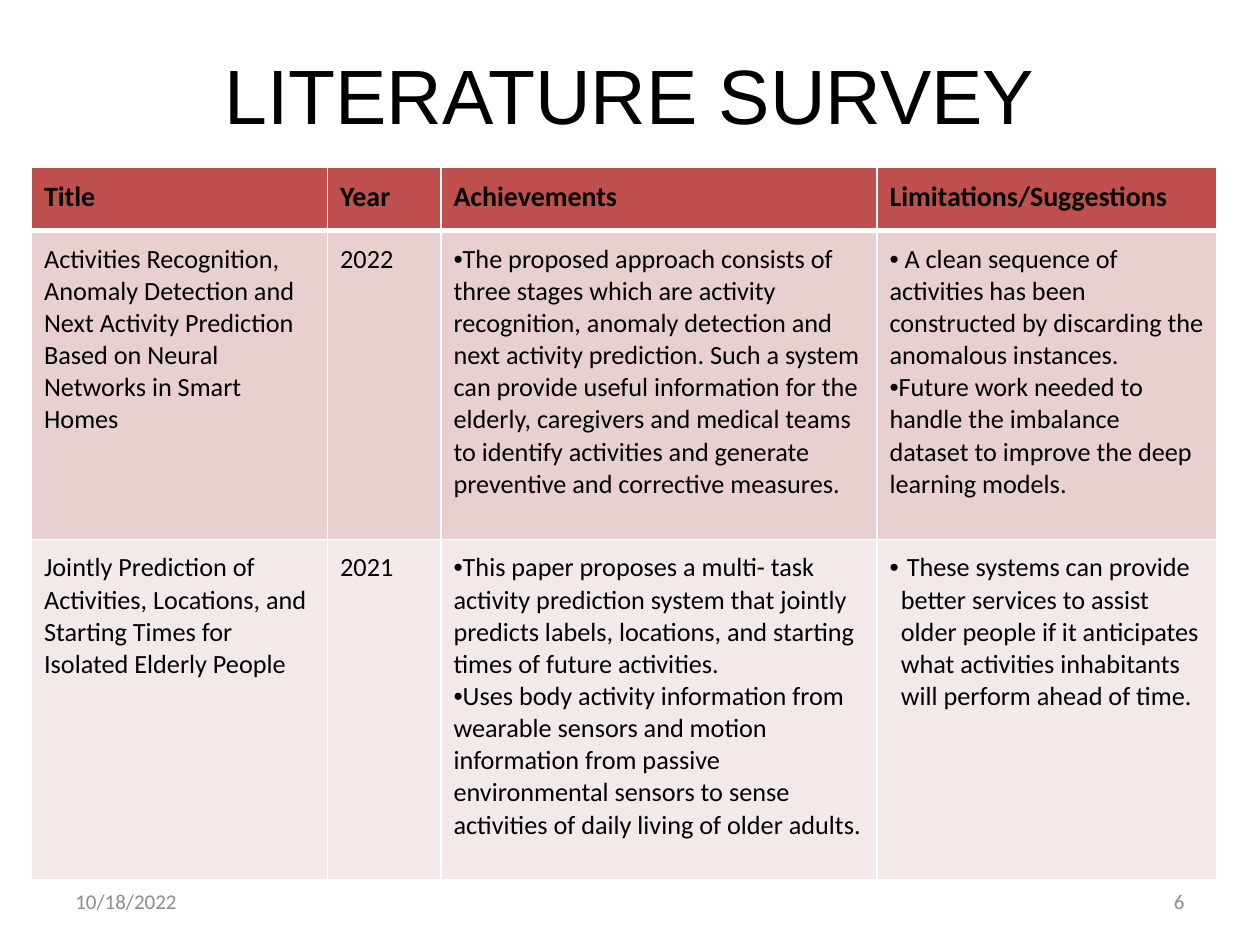
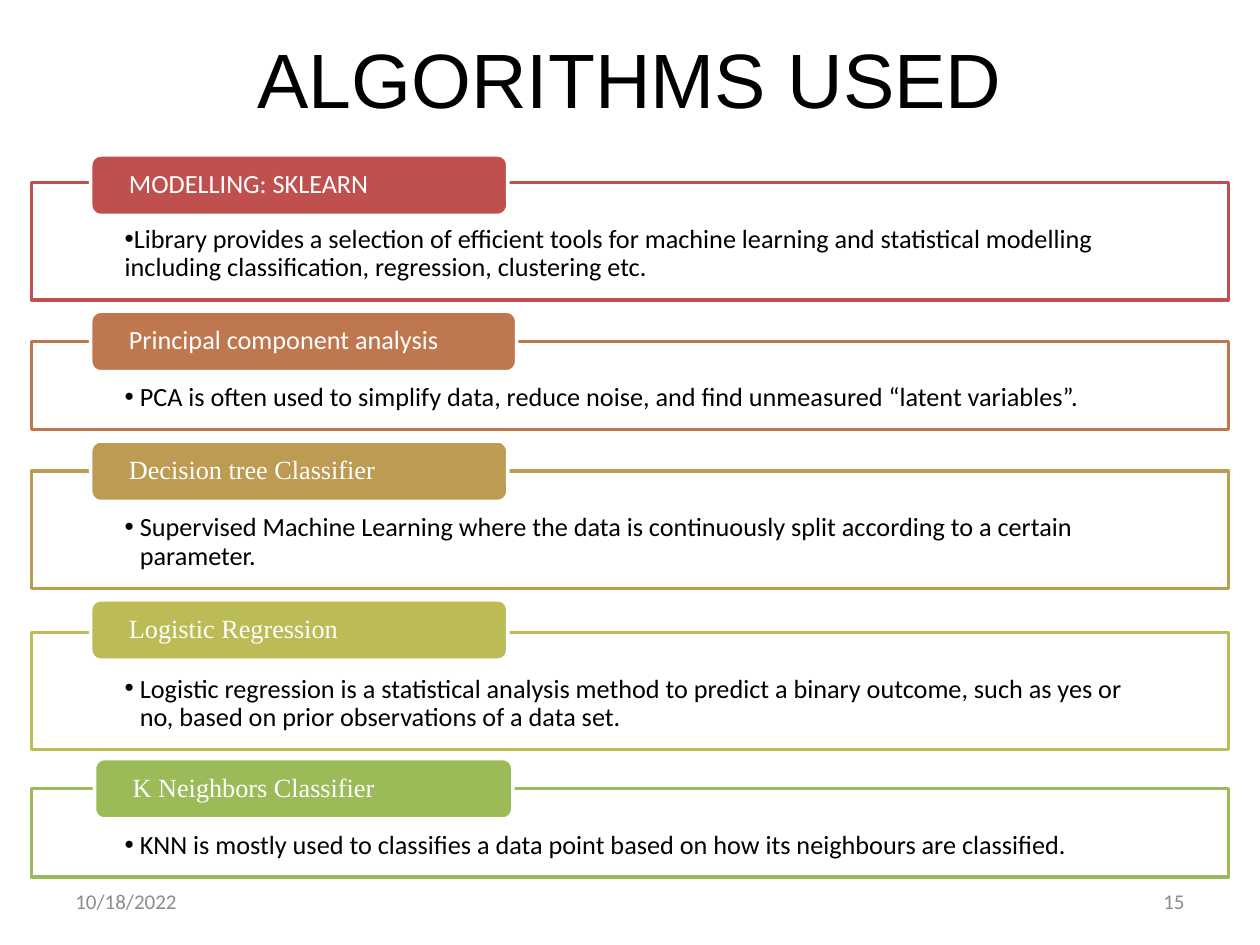
from typing import NamedTuple

from lxml import etree
from pptx import Presentation
from pptx.dml.color import RGBColor
from pptx.enum.shapes import MSO_SHAPE
from pptx.enum.text import MSO_ANCHOR, PP_ALIGN
from pptx.oxml import parse_xml
from pptx.oxml.ns import nsdecls, qn
from pptx.util import Inches, Pt

RECT, ROUND = MSO_SHAPE.RECTANGLE, MSO_SHAPE.ROUNDED_RECTANGLE
TOP, MIDDLE = MSO_ANCHOR.TOP, MSO_ANCHOR.MIDDLE
LEFT, CENTER, RIGHT = PP_ALIGN.LEFT, PP_ALIGN.CENTER, PP_ALIGN.RIGHT

COLORS = {
    "black": "000000", "white": "FFFFFF", "gray": "8C8C8C",
    "red": "C0504D", "rust": "BF7750", "gold": "BD9B53",
    "lime": "BCBC56", "green": "9BBB59",
    "rose": "E8D0D0", "blush": "F4E9E9",
}
SANS, BODY, SERIF = "Arial", "Calibri", "Times New Roman"
DATE = "10/18/2022"


class Box(NamedTuple):
    left: float
    top: float
    width: float
    height: float


class Item(NamedTuple):
    text: str
    hang: float = 0
    bullet: bool = True


class Panel(NamedTuple):
    head: str
    body: Item
    color: str
    top: float
    height: float
    tab: Box
    font: str = SERIF


COLS = (2.35, 0.9, 3.46, 2.7)
ROWS = (0.5, 2.45, 2.7)
HEADS = ("Title", "Year", "Achievements", "Limitations/Suggestions")
PAPERS = (
    (
        [Item("Activities Recognition, Anomaly Detection and Next Activity "
              "Prediction Based on Neural Networks in Smart Homes", bullet=False)],
        [Item("2022", bullet=False)],
        [Item("The proposed approach consists of three stages which are activity "
              "recognition, anomaly detection and next activity prediction. Such a "
              "system can provide useful information for the elderly, caregivers and "
              "medical teams to identify activities and generate preventive and "
              "corrective measures.")],
        [Item(" A clean sequence of activities has been constructed by "
              "discarding the anomalous instances."),
         Item("Future work needed to handle the imbalance dataset to improve the "
              "deep learning models.")],
    ),
    (
        [Item("Jointly Prediction of Activities, Locations, and Starting Times for "
              "Isolated Elderly People", bullet=False)],
        [Item("2021", bullet=False)],
        [Item("This paper proposes a multi- task activity prediction system that "
              "jointly predicts labels, locations, and starting times of future "
              "activities."),
         Item("Uses body activity information from wearable sensors and motion "
              "information from passive environmental sensors to sense activities of "
              "daily living of older adults.")],
        [Item(" These systems can provide better services to assist older people "
              "if it anticipates what activities inhabitants will perform ahead of "
              "time.", 0.09)],
    ),
)

PANELS = (
    Panel("MODELLING: SKLEARN",
          Item("Library provides a selection of efficient tools for machine learning "
               "and statistical modelling including classification, regression, "
               "clustering etc."),
          "red", 1.45, 0.93, Box(0.72, 1.23, 3.31, 0.48), BODY),
    Panel("Principal component analysis",
          Item("PCA is often used to simplify data, reduce noise, and find unmeasured "
               "“latent variables”.", 0.12),
          "rust", 2.71, 0.7, Box(0.72, 2.47, 3.38, 0.48), BODY),
    Panel("Decision tree Classifier",
          Item("Supervised Machine Learning where the data is continuously split "
               "according to a certain parameter.", 0.12),
          "gold", 3.74, 0.93, Box(0.72, 3.5, 3.31, 0.48)),
    Panel("Logistic Regression",
          Item("Logistic regression is a statistical analysis method to predict a "
               "binary outcome, such as yes or no, based on prior observations of a "
               "data set.", 0.12),
          "lime", 5.02, 0.93, Box(0.72, 4.76, 3.31, 0.48)),
    Panel("K Neighbors Classifier",
          Item("KNN is mostly used to classifies a data point based on how its "
               "neighbours are classified.", 0.12),
          "green", 6.26, 0.7, Box(0.75, 6.02, 3.32, 0.48)),
)


def rgb(name: str) -> RGBColor:
    return RGBColor.from_string(COLORS[name])


def place(box: Box) -> list:
    return [Inches(side) for side in box]


def add_run(para, text: str, size: float, font: str = BODY,
            color: str = "black", bold: bool = False) -> None:
    run = para.add_run()
    run.text = text
    run.font.size, run.font.name, run.font.bold = Pt(size), font, bold
    run.font.color.rgb = rgb(color)


def set_frame(frame, anchor, insets=(0.1, 0.05, 0.1, 0.05)) -> None:
    """Wrap the text and set its anchor and left, top, right, bottom insets."""
    frame.word_wrap, frame.vertical_anchor = True, anchor
    (frame.margin_left, frame.margin_top,
     frame.margin_right, frame.margin_bottom) = [Inches(side) for side in insets]


def add_item(para, item: Item) -> None:
    para.alignment = LEFT
    if item.bullet:
        props = para._p.get_or_add_pPr()
        props.set("marL", str(Inches(item.hang)))
        props.set("indent", str(-Inches(item.hang)))
        face = etree.SubElement(props, qn("a:buFont"))
        face.set("typeface", SANS)
        etree.SubElement(props, qn("a:buChar")).set("char", "•")
    add_run(para, item.text, 15)


def add_note(slide, text: str, left: float, align) -> None:
    frame = slide.shapes.add_textbox(*place(Box(left, 6.95, 2.33, 0.4))).text_frame
    set_frame(frame, MIDDLE)
    para = frame.paragraphs[0]
    para.alignment = align
    add_run(para, text, 12, color="gray")


def add_page(deck, title: str, box: Box, number: int):
    """Add a slide with its title, date and page number."""
    slide = deck.slides.add_slide(deck.slide_layouts[5])
    head = slide.shapes.title
    head.left, head.top, head.width, head.height = place(box)
    set_frame(head.text_frame, MIDDLE)
    para = head.text_frame.paragraphs[0]
    para.alignment = CENTER
    add_run(para, title, 44, SANS)
    add_note(slide, DATE, 0.5, LEFT)
    add_note(slide, str(number), 7.17, RIGHT)
    return slide


def set_cell(cell, fill: str, edges: dict) -> None:
    """Fill the cell and draw its white borders, with widths by side."""
    cell.fill.solid()
    cell.fill.fore_color.rgb = rgb(fill)
    cell.margin_left = cell.margin_right = Inches(0.1)
    cell.margin_top = cell.margin_bottom = Inches(0.1)
    props = cell._tc.get_or_add_tcPr()
    for spot, (side, width) in enumerate(edges.items()):
        props.insert(spot, parse_xml(
            f'<a:ln{side} {nsdecls("a")} w="{Pt(width)}"><a:solidFill>'
            f'<a:srgbClr val="{COLORS["white"]}"/></a:solidFill></a:ln{side}>'))


def add_survey(slide) -> None:
    box = Box(0.25, 1.33, sum(COLS), sum(ROWS))
    table = slide.shapes.add_table(len(ROWS), len(COLS), *place(box)).table
    for col, width in zip(table.columns, COLS):
        col.width = Inches(width)
    for row, height in zip(table.rows, ROWS):
        row.height = Inches(height)
    for c, head in enumerate(HEADS):
        cell = table.cell(0, c)
        set_cell(cell, "red", {"L": 1, "R": 1, "T": 1, "B": 3})
        add_run(cell.text_frame.paragraphs[0], head, 16, bold=True)
    for r, (paper, fill) in enumerate(zip(PAPERS, ("rose", "blush")), 1):
        for c, items in enumerate(paper):
            cell = table.cell(r, c)
            set_cell(cell, fill, {"L": 1, "R": 1, "T": 3 if r == 1 else 1, "B": 1})
            frame = cell.text_frame
            for i, item in enumerate(items):
                add_item(frame.add_paragraph() if i else frame.paragraphs[0], item)


def add_shape(slide, kind, box: Box, fill: str, line: str):
    shape = slide.shapes.add_shape(kind, *place(box))
    shape.shadow.inherit = False
    shape.fill.solid()
    shape.fill.fore_color.rgb = rgb(fill)
    shape.line.color.rgb = rgb(line)
    shape.line.width = Pt(2)
    return shape


def add_panel(slide, panel: Panel) -> None:
    box = Box(0.25, panel.top, 9.5, panel.height)
    frame = add_shape(slide, RECT, box, "white", panel.color).text_frame
    set_frame(frame, TOP, (0.74, 0.34, 0.74, 0.12))
    para = frame.paragraphs[0]
    para.level, para.line_spacing = 1, 0.9
    add_item(para, panel.body)

    frame = add_shape(slide, ROUND, panel.tab, panel.color, "white").text_frame
    set_frame(frame, MIDDLE, (0.28, 0.02, 0.28, 0.02))
    para = frame.paragraphs[0]
    para.alignment, para.line_spacing = LEFT, 0.9
    add_run(para, panel.head, 15, panel.font, "white")


def main() -> None:
    deck = Presentation()
    deck.slide_width, deck.slide_height = Inches(10), Inches(7.5)
    add_survey(add_page(deck, "LITERATURE SURVEY", Box(0.5, 0.15, 9, 1.18), 6))
    slide = add_page(deck, "ALGORITHMS USED", Box(0.5, 0.07, 9, 1.1), 15)
    for panel in PANELS:
        add_panel(slide, panel)
    deck.save("out.pptx")


if __name__ == "__main__":
    main()
